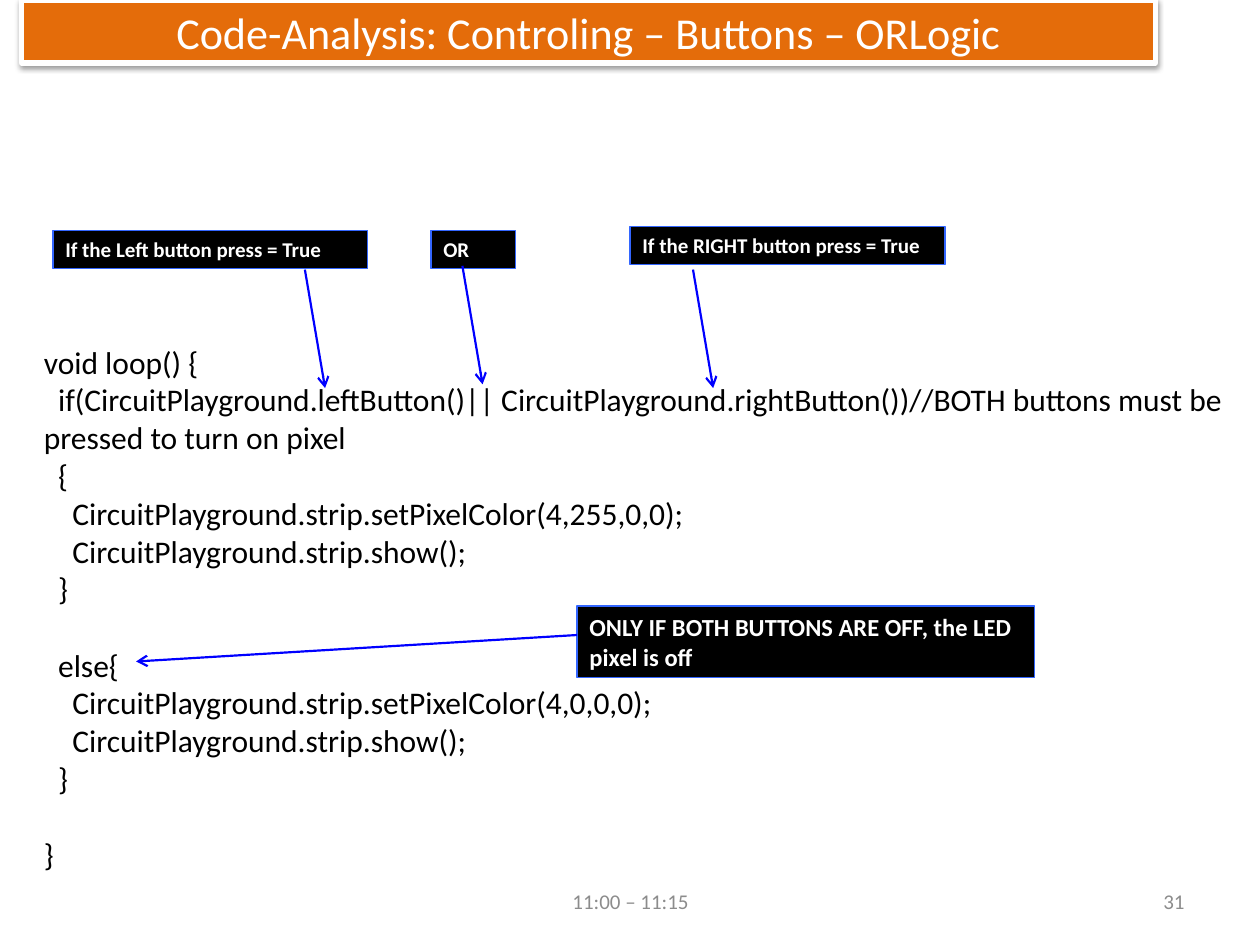
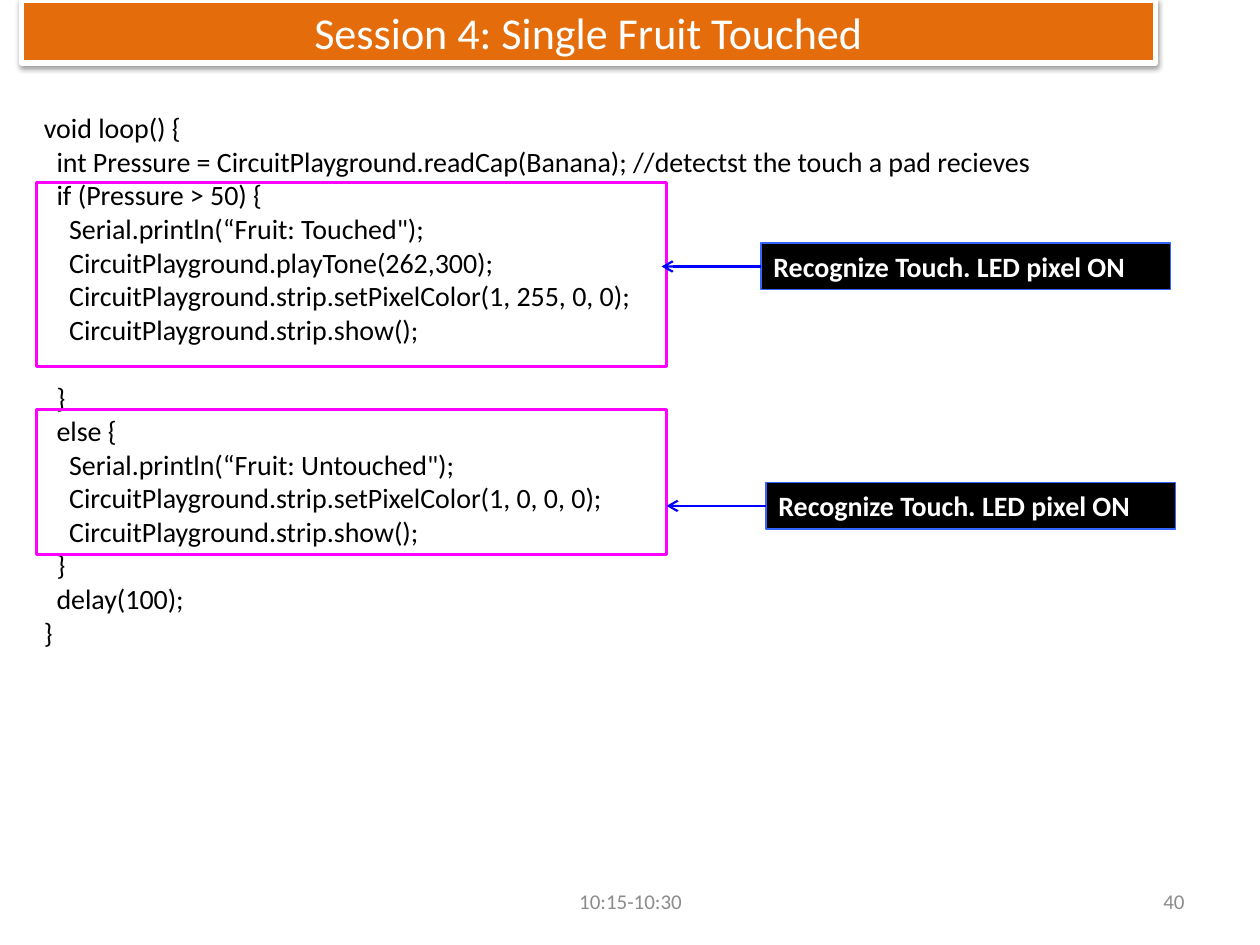
from lxml.etree import SubElement
from pptx import Presentation
from pptx.dml.color import RGBColor
from pptx.enum.shapes import MSO_CONNECTOR, MSO_SHAPE
from pptx.enum.text import MSO_ANCHOR, MSO_AUTO_SIZE, PP_ALIGN
from pptx.oxml.ns import qn
from pptx.util import Inches, Pt

FONT = "Calibri"
ORANGE, WHITE, BLACK, GRAY = "E46C0A", "FFFFFF", "000000", "8C8C8C"
ARROW_BLUE, LABEL_EDGE, MAGENTA = "0000FF", "3366FF", "FF00FF"
SPACE_WIDTH = 0.226   # width of a space, in ems
LINE_HEIGHT = 1.22    # height of a line, in ems

BUTTON_CODE = """\
void loop() {
  if(CircuitPlayground.leftButton()|| CircuitPlayground.rightButton())//BOTH buttons must be pressed to turn on pixel
  {
    CircuitPlayground.strip.setPixelColor(4,255,0,0);
    CircuitPlayground.strip.show();
  }

  else{
    CircuitPlayground.strip.setPixelColor(4,0,0,0);
    CircuitPlayground.strip.show();
  }

}"""

FRUIT_CODE = """\
void loop() {
  int Pressure = CircuitPlayground.readCap(Banana); //detectst the touch a pad recieves
  if (Pressure > 50) {
    Serial.println(“Fruit: Touched");
    CircuitPlayground.playTone(262,300);
    CircuitPlayground.strip.setPixelColor(1, 255, 0, 0);
    CircuitPlayground.strip.show();

  }
  else {
    Serial.println(“Fruit: Untouched");
    CircuitPlayground.strip.setPixelColor(1, 0, 0, 0);
    CircuitPlayground.strip.show();
  }
  delay(100);
}"""


def rgb(color):
    return RGBColor.from_string(color)


def inches(box):
    return [Inches(v) for v in box]


def style(p, size, color, bold=False, align=PP_ALIGN.LEFT):
    p.alignment = align
    for r in p.runs:
        r.font.name, r.font.size, r.font.bold = FONT, Pt(size), bold
        r.font.color.rgb = rgb(color)


def outline(shape, color, width):
    shape.line.color.rgb = rgb(color)
    shape.line.width = Pt(width)


def fill(shape, color):
    shape.fill.solid()
    shape.fill.fore_color.rgb = rgb(color)


def add_title(slide, text):
    sp = slide.shapes.title
    sp.left, sp.top, sp.width, sp.height = inches((0.17, 0, 9, 0.5))
    fill(sp, ORANGE)
    outline(sp, WHITE, 3)
    effects = SubElement(sp._element.spPr, qn("a:effectLst"))
    shadow = SubElement(effects, qn("a:outerShdw"), blurRad=str(Pt(3.1)),
                        dist=str(Pt(1.6)), dir="5400000", rotWithShape="0")
    black = SubElement(shadow, qn("a:srgbClr"), val=BLACK)
    SubElement(black, qn("a:alpha"), val="38000")
    tf = sp.text_frame
    tf.text = text
    tf.auto_size = MSO_AUTO_SIZE.NONE
    tf.vertical_anchor = MSO_ANCHOR.MIDDLE
    style(tf.paragraphs[0], 25.2, WHITE, align=PP_ALIGN.CENTER)


def add_footer(slide, time, number):
    for box, text, align in (((3.42, 6.95, 3.17, 0.4), time, PP_ALIGN.CENTER),
                             ((7.17, 6.95, 2.33, 0.4), number, PP_ALIGN.RIGHT)):
        tf = slide.shapes.add_textbox(*inches(box)).text_frame
        tf.word_wrap = True
        tf.vertical_anchor = MSO_ANCHOR.MIDDLE
        tf.text = text
        style(tf.paragraphs[0], 12, GRAY, align=align)


def add_code(slide, box, code, size):
    """Turn leading spaces into first-line indents and empty lines into spacing."""
    tf = slide.shapes.add_textbox(*inches(box)).text_frame
    tf.word_wrap = True
    p, gap = tf.paragraphs[0], 0
    for i, line in enumerate(code.splitlines()):
        text = line.lstrip()
        if not text:
            gap = size * LINE_HEIGHT
            continue
        if i:
            p = tf.add_paragraph()
        p.text = text
        p.space_before, gap = Pt(gap), 0
        indent = Pt((len(line) - len(text)) * SPACE_WIDTH * size)
        p._p.get_or_add_pPr().set("indent", str(indent))
        style(p, size, BLACK)


def add_box(slide, box):
    sp = slide.shapes.add_shape(MSO_SHAPE.RECTANGLE, *inches(box))
    sp.shadow.inherit = False
    return sp


def add_label(slide, box, text, size):
    sp = add_box(slide, box)
    fill(sp, BLACK)
    outline(sp, LABEL_EDGE, 0.75)
    tf = sp.text_frame
    tf.word_wrap = True
    tf.vertical_anchor = MSO_ANCHOR.TOP
    tf.text = text
    style(tf.paragraphs[0], size, WHITE, bold=True)


def add_frame(slide, box):
    sp = add_box(slide, box)
    sp.fill.background()
    outline(sp, MAGENTA, 2)


def add_arrow(slide, start, end):
    line = slide.shapes.add_connector(MSO_CONNECTOR.STRAIGHT,
                                      *inches(start), *inches(end))
    outline(line, ARROW_BLUE, 1.25)
    SubElement(line.line._get_or_add_ln(), qn("a:tailEnd"), type="arrow")
    SubElement(line._element.spPr, qn("a:effectLst"))


def add_code_slide(prs, title, time, number, code_box, code, size):
    slide = prs.slides.add_slide(prs.slide_layouts[5])
    add_title(slide, title)
    add_code(slide, code_box, code, size)
    add_footer(slide, time, number)
    return slide


def add_button_slide(prs):
    slide = add_code_slide(prs, "Code-Analysis: Controling – Buttons – ORLogic",
                           "11:00 – 11:15", "31",
                           (0.25, 2.67, 9.58, 4.34), BUTTON_CODE, 18)
    conditions = (
        ((0.42, 1.83, 2.5, 0.3), "If the Left button press = True", (2.42, 2.14)),
        ((5, 1.8, 2.5, 0.3), "If the RIGHT button press = True", (5.5, 2.14)),
        ((3.42, 1.83, 0.67, 0.3), "OR", (3.67, 2.11)),
    )
    for box, text, (x, y) in conditions:
        add_label(slide, box, text, 12)
        add_arrow(slide, (x, y), (x + 0.16, y + 0.94))
    add_label(slide, (4.58, 4.81, 3.63, 0.57),
              "ONLY IF BOTH BUTTONS ARE OFF, the LED pixel is off", 14)
    add_arrow(slide, (4.58, 5.04), (1.08, 5.25))


def add_fruit_slide(prs):
    slide = add_code_slide(prs, "Session 4: Single Fruit Touched",
                           "10:15-10:30", "40",
                           (0.25, 0.83, 9.58, 4.41), FRUIT_CODE, 16)
    branches = ((1.45, 1.46, 6.04, 1.93), (3.25, 1.15, 6.08, 3.83))
    for top, height, label_x, label_y in branches:
        add_frame(slide, (0.29, top, 5, height))
        add_label(slide, (label_x, label_y, 3.25, 0.37),
                  "Recognize Touch. LED pixel ON", 16)
        middle = label_y + 0.185
        add_arrow(slide, (label_x, middle), (label_x - 0.79, middle))


def main():
    prs = Presentation()
    prs.slide_width, prs.slide_height = Inches(10), Inches(7.5)
    add_button_slide(prs)
    add_fruit_slide(prs)
    prs.save("out.pptx")


if __name__ == "__main__":
    main()
